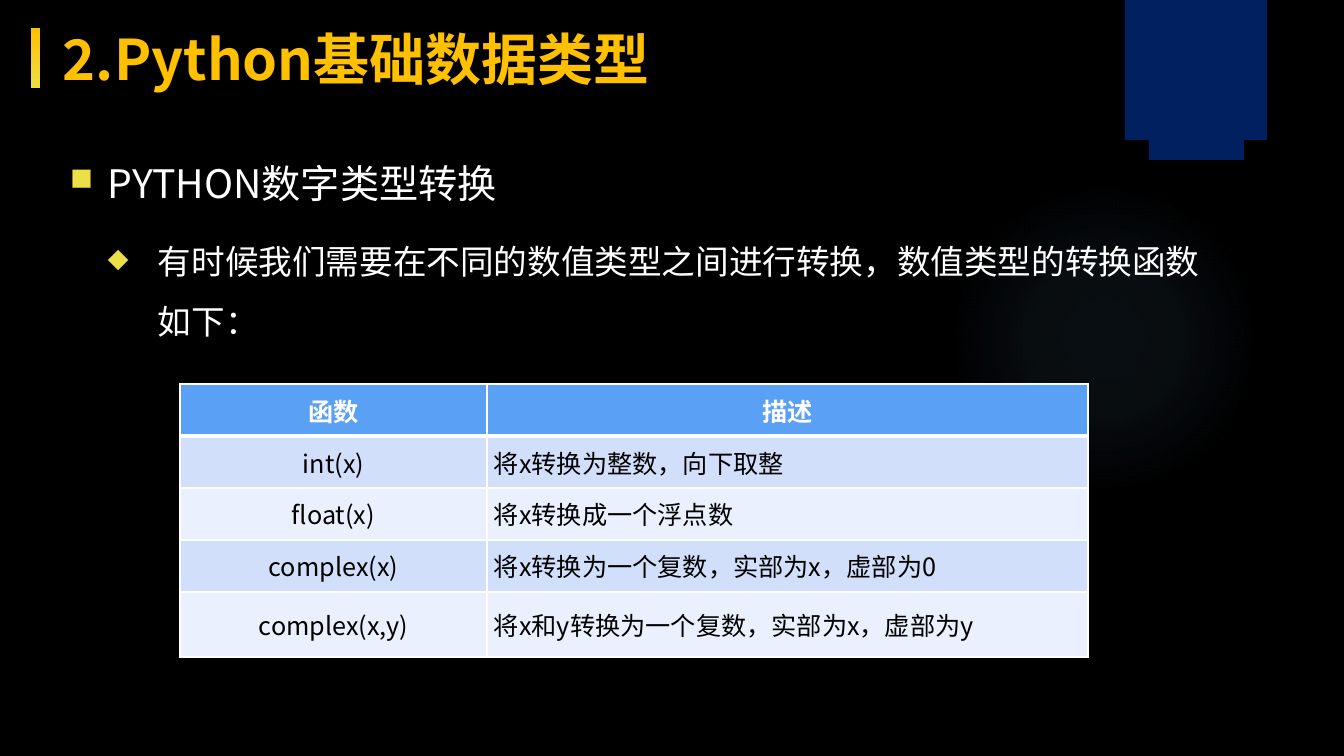
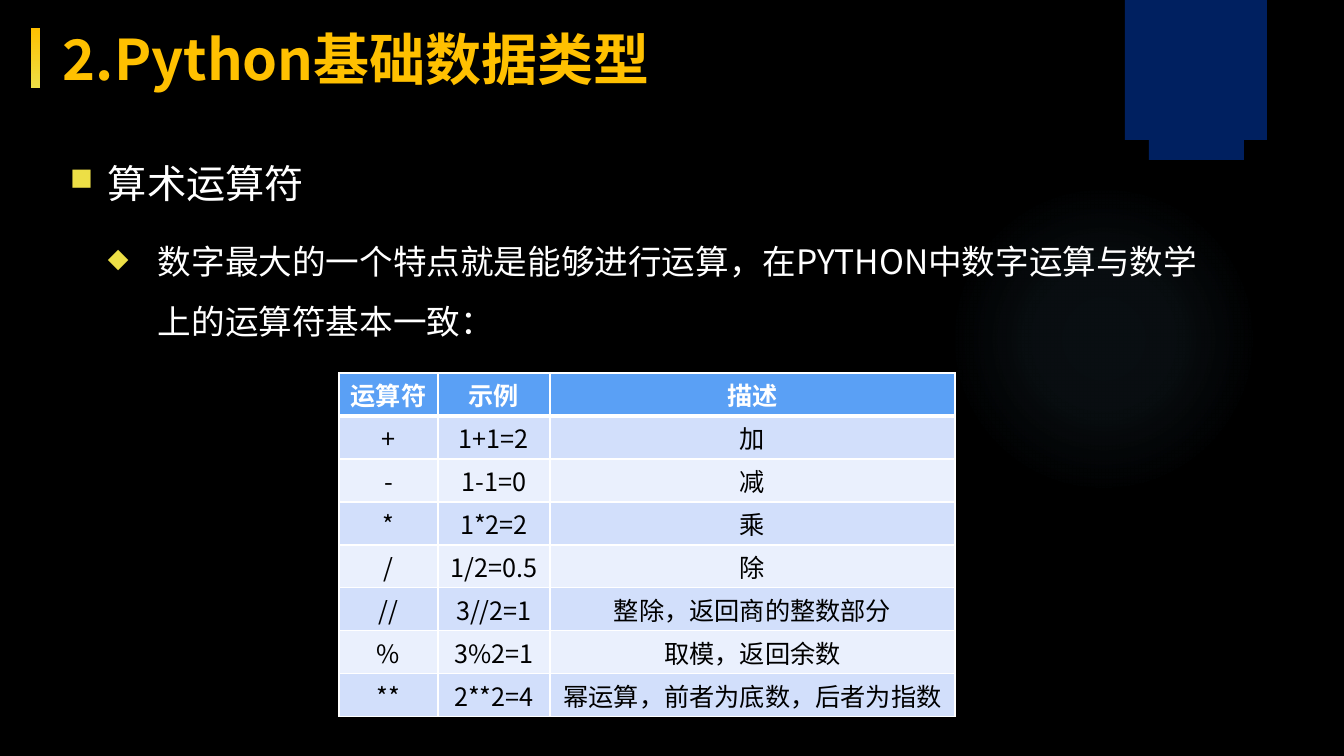
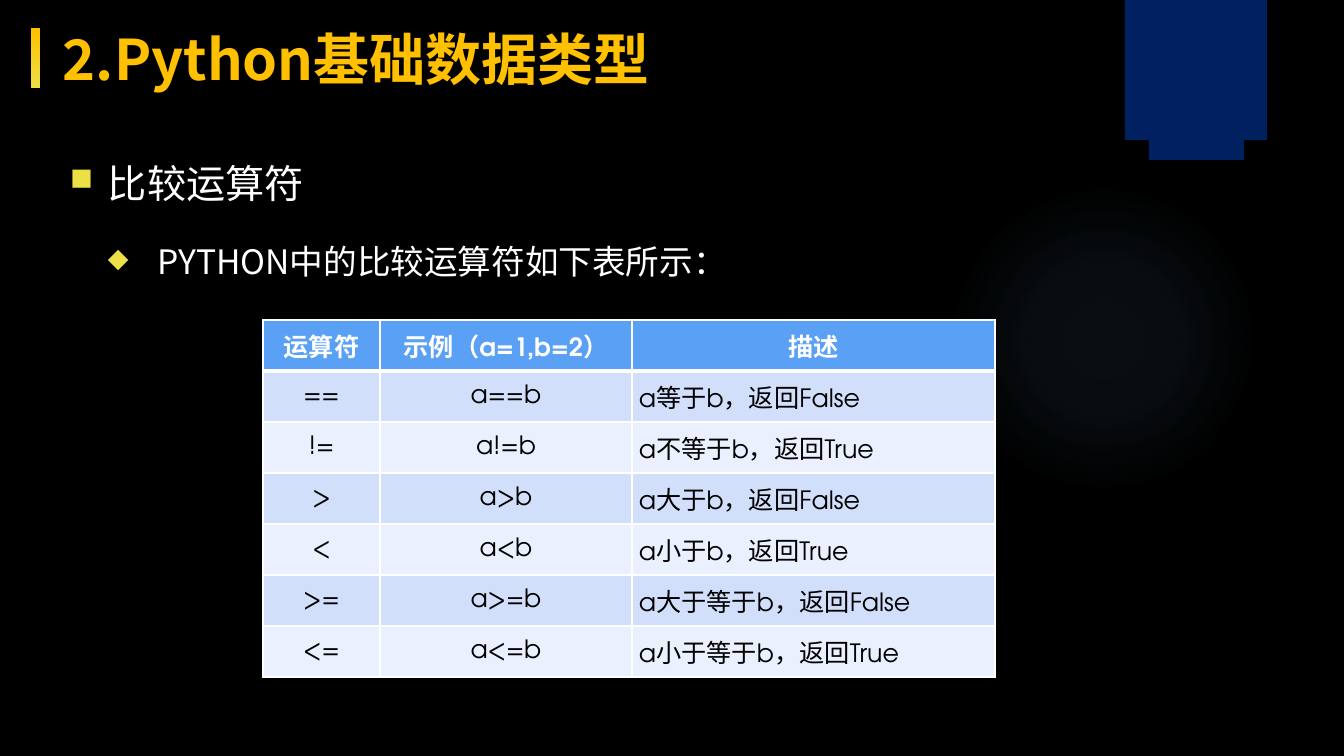
import pptx
import pptx.dml.color
import pptx.enum.shapes
import pptx.enum.text
import pptx.oxml.ns
import pptx.util
from lxml import etree

RGBColor = pptx.dml.color.RGBColor
ALIGN = pptx.enum.text.PP_ALIGN
MIDDLE = pptx.enum.text.MSO_ANCHOR.MIDDLE
SHAPE = pptx.enum.shapes.MSO_SHAPE
Pt = pptx.util.Pt
qn = pptx.oxml.ns.qn

BLACK = RGBColor(0x00, 0x00, 0x00)
WHITE = RGBColor(0xFF, 0xFF, 0xFF)
NAVY = RGBColor(0x00, 0x20, 0x60)
AMBER = RGBColor(0xFF, 0xC0, 0x00)
YELLOW = RGBColor(0xED, 0xDF, 0x46)
TITLE_YELLOW = RGBColor(0xEC, 0xD9, 0x3C)
GLOW_BLUE = RGBColor(0x7A, 0xC4, 0xF0)
HEADER_BLUE = RGBColor(0x5A, 0xA0, 0xF5)
BAND_COLORS = (RGBColor(0xEA, 0xF0, 0xFD), RGBColor(0xD2, 0xDF, 0xFB))

CJK_FONT = "Noto Sans CJK SC"
LATIN_FONT = "TeX Gyre Adventor"
BULLET_FONT = "OpenSymbol"
EMU_PER_PX = 914400 / 100.8
SLIDE_SIZE = (1344, 756)
TITLE = "2.Python基础数据类型"


def px(length):
    return pptx.util.Emu(round(length * EMU_PER_PX))


def add_xml(parent, tag, **attributes):
    return etree.SubElement(parent, qn(tag), attributes)


def set_gradient(fill, top, bottom):
    """Vertical gradient from top to bottom."""
    fill.gradient()
    fill.gradient_angle = 270
    for stop, color, position in zip(fill.gradient_stops, (top, bottom), (0, 1)):
        stop.color.rgb = color
        stop.position = position


def add_text(paragraph, text, size=18, font=CJK_FONT, color=WHITE,
             gradient=None, bold=False, align=ALIGN.LEFT):
    paragraph.alignment = align
    run = paragraph.add_run()
    run.text = text
    run.font.size = Pt(size)
    run.font.bold = bold
    if gradient:
        set_gradient(run.font.fill, *gradient)
    else:
        run.font.color.rgb = color
    run.font.name = font
    add_xml(run.font._element, "a:ea", typeface=CJK_FONT)


def add_shape(slide, kind, box, color=None):
    shape = slide.shapes.add_shape(kind, *map(px, box))
    shape.shadow.inherit = False
    shape.line.fill.background()
    if color is not None:
        shape.fill.solid()
        shape.fill.fore_color.rgb = color
    return shape


def add_text_box(slide, box):
    frame = slide.shapes.add_textbox(*map(px, box)).text_frame
    frame.word_wrap = True
    frame.auto_size = pptx.enum.text.MSO_AUTO_SIZE.SHAPE_TO_FIT_TEXT
    return frame


def add_glow(slide, box):
    """Faint round light that fades out from its centre."""
    glow = add_shape(slide, SHAPE.OVAL, box)
    gradient = etree.Element(qn("a:gradFill"), rotWithShape="1")
    stops = add_xml(gradient, "a:gsLst")
    for position, opacity in ((0, 7), (36, 6), (69, 0)):
        stop = add_xml(stops, "a:gs", pos=str(position * 1000))
        color = add_xml(stop, "a:srgbClr", val=str(GLOW_BLUE))
        add_xml(color, "a:alpha", val=str(opacity * 1000))
    center = add_xml(gradient, "a:path", path="circle")
    add_xml(center, "a:fillToRect", l="50000", t="50000", r="50000", b="50000")
    glow._element.spPr.find(qn("a:prstGeom")).addnext(gradient)


def add_ribbon(slide, left, top):
    """Navy block with a narrower foot."""
    add_shape(slide, SHAPE.RECTANGLE, (left, top, 142, 140), NAVY)
    add_shape(slide, SHAPE.RECTANGLE, (left + 24, top, 95, 160), NAVY)


def add_title(slide, left, top):
    bar = add_shape(slide, SHAPE.RECTANGLE, (left, top + 8, 9, 60))
    set_gradient(bar.fill, AMBER, YELLOW)
    frame = add_text_box(slide, (left + 22, top, 724, 78))
    add_text(frame.paragraphs[0], TITLE, size=40, bold=True,
             gradient=(AMBER, TITLE_YELLOW))


def set_bullet(paragraph, character, margin, hanging):
    paragraph.line_spacing = 1.5
    paragraph.space_before = Pt(10)
    properties = paragraph._p.get_or_add_pPr()
    properties.set("marL", str(px(margin)))
    properties.set("indent", str(-px(hanging)))
    color = add_xml(properties, "a:buClr")
    add_xml(color, "a:srgbClr", val=str(YELLOW))
    add_xml(properties, "a:buSzPct", val="80000")
    add_xml(properties, "a:buFont", typeface=BULLET_FONT)
    add_xml(properties, "a:buChar", char=character)


def add_body(slide, box, heading, detail):
    frame = add_text_box(slide, box)
    first, second = frame.paragraphs[0], frame.add_paragraph()
    add_text(first, heading, size=28)
    set_bullet(first, "■", margin=38, hanging=38)
    add_text(second, detail, size=24)
    set_bullet(second, "◆", margin=88, hanging=50)


def set_borders(cell, top=1, bottom=1):
    properties = cell._tc.get_or_add_tcPr()
    sides = (("a:lnL", 1), ("a:lnR", 1), ("a:lnT", top), ("a:lnB", bottom))
    for index, (tag, width) in enumerate(sides):
        line = etree.Element(qn(tag), w=str(Pt(width)))
        add_xml(add_xml(line, "a:solidFill"), "a:srgbClr", val=str(WHITE))
        properties.insert(index, line)


def add_table(slide, left, top, widths, heights, rows, left_column=None,
              font=CJK_FONT):
    """First row is the header; left_column is the one set flush left."""
    table = slide.shapes.add_table(
        len(rows), len(widths), px(left), px(top),
        px(sum(widths)), px(sum(heights))).table
    for column, width in zip(table.columns, widths):
        column.width = px(width)
    for row_index, (height, texts) in enumerate(zip(heights, rows)):
        table.rows[row_index].height = px(height)
        header = row_index == 0
        for column_index, text in enumerate(texts):
            cell = table.cell(row_index, column_index)
            cell.vertical_anchor = MIDDLE
            cell.margin_left = cell.margin_right = px(7)
            cell.margin_top = cell.margin_bottom = 0
            cell.fill.solid()
            cell.fill.fore_color.rgb = (
                HEADER_BLUE if header else BAND_COLORS[row_index % 2])
            set_borders(cell, top=3 if row_index == 1 else 1,
                        bottom=3 if header else 1)
            flush_left = column_index == left_column and not header
            add_text(cell.text_frame.paragraphs[0], text, font=font,
                     color=WHITE if header else BLACK, bold=header,
                     align=ALIGN.LEFT if flush_left else ALIGN.CENTER)


def add_lesson(presentation, heading, detail, body_height, table):
    slide = presentation.slides.add_slide(presentation.slide_layouts[6])
    add_glow(slide, (949, 184, 310, 310))
    add_ribbon(slide, 1125, 0)
    add_title(slide, 31, 20)
    add_body(slide, (60, 131, 1172, body_height), heading, detail)
    add_table(slide, **table)


LESSONS = [
    dict(
        heading="PYTHON数字类型转换",
        detail="有时候我们需要在不同的数值类型之间进行转换，数值类型的转换函数如下：",
        body_height=218,
        table=dict(
            left=180, top=384, widths=(307, 601), heights=[52] * 4 + [65],
            left_column=1,
            rows=[
                ("函数", "描述"),
                ("int(x)", "将x转换为整数，向下取整"),
                ("float(x)", "将x转换成一个浮点数"),
                ("complex(x)", "将x转换为一个复数，实部为x，虚部为0"),
                ("complex(x,y)", "将x和y转换为一个复数，实部为x，虚部为y"),
            ])),
    dict(
        heading="算术运算符",
        detail="数字最大的一个特点就是能够进行运算，在PYTHON中数字运算与数学上的运算符基本一致：",
        body_height=218,
        table=dict(
            left=339, top=373, widths=(99, 112, 405), heights=[43] * 8,
            rows=[
                ("运算符", "示例", "描述"),
                ("+", "1+1=2", "加"),
                ("-", "1-1=0", "减"),
                ("*", "1*2=2", "乘"),
                ("/", "1/2=0.5", "除"),
                ("//", "3//2=1", "整除，返回商的整数部分"),
                ("%", "3%2=1", "取模，返回余数"),
                ("**", "2**2=4", "幂运算，前者为底数，后者为指数"),
            ])),
    dict(
        heading="比较运算符",
        detail="PYTHON中的比较运算符如下表所示：",
        body_height=156,
        table=dict(
            left=263, top=320, widths=(117, 252, 363), heights=[51] * 7,
            left_column=2, font=LATIN_FONT,
            rows=[
                ("运算符", "示例（a=1,b=2）", "描述"),
                ("==", "a==b", "a等于b，返回False"),
                ("!=", "a!=b", "a不等于b，返回True"),
                (">", "a>b", "a大于b，返回False"),
                ("<", "a<b", "a小于b，返回True"),
                (">=", "a>=b", "a大于等于b，返回False"),
                ("<=", "a<=b", "a小于等于b，返回True"),
            ])),
]


def main():
    presentation = pptx.Presentation()
    presentation.slide_width, presentation.slide_height = map(px, SLIDE_SIZE)
    background = presentation.slide_master.background.fill
    background.solid()
    background.fore_color.rgb = BLACK
    for lesson in LESSONS:
        add_lesson(presentation, **lesson)
    presentation.save("out.pptx")


if __name__ == "__main__":
    main()
